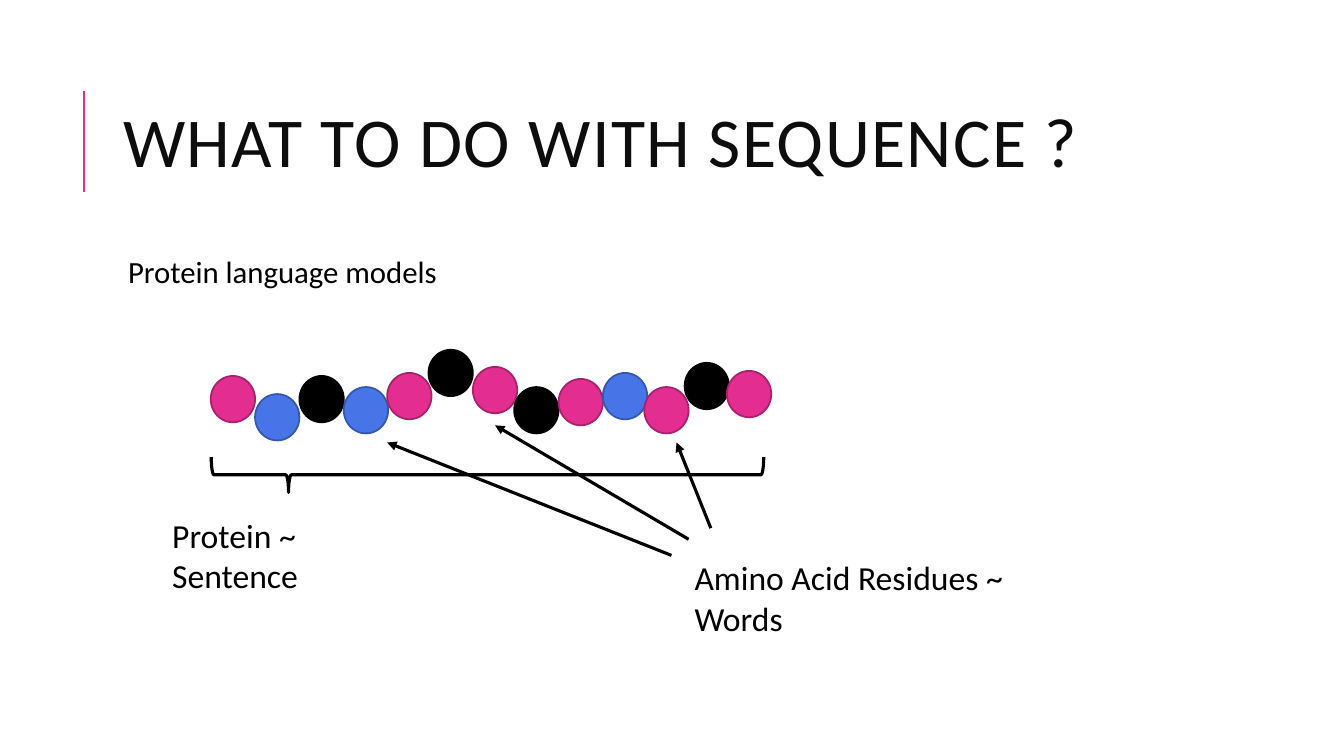
from typing import NamedTuple

from lxml import etree
from pptx import Presentation
from pptx.dml.color import RGBColor
from pptx.enum.shapes import MSO_CONNECTOR, MSO_SHAPE
from pptx.enum.text import MSO_ANCHOR, MSO_AUTO_SIZE, PP_ALIGN
from pptx.oxml.ns import qn
from pptx.util import Inches, Pt

LINE = MSO_CONNECTOR.STRAIGHT
OVAL, BRACE = MSO_SHAPE.OVAL, MSO_SHAPE.LEFT_BRACE
TOP, MIDDLE = MSO_ANCHOR.TOP, MSO_ANCHOR.MIDDLE
LEFT, FIXED = PP_ALIGN.LEFT, MSO_AUTO_SIZE.NONE

HUES = {
    "pink": "E32D91", "plum": "A8216B",
    "blue": "4775E7", "navy": "3557AB",
    "black": "000000", "ink": "0D0D0D",
}
EDGES = {"pink": "plum", "blue": "navy", "black": "black"}


class Bead(NamedTuple):
    x: float
    y: float
    hue: str


class Arrow(NamedTuple):
    x: float
    y: float
    to_x: float
    to_y: float


class Label(NamedTuple):
    text: str
    box: tuple
    size: int
    style: dict


BEADS = [
    Bead(2.09, 3.73, "pink"), Bead(2.53, 3.91, "blue"),
    Bead(2.97, 3.73, "black"), Bead(3.41, 3.84, "blue"),
    Bead(3.84, 3.7, "pink"), Bead(4.25, 3.47, "black"),
    Bead(4.69, 3.64, "pink"), Bead(5.1, 3.84, "black"),
    Bead(5.54, 3.76, "pink"), Bead(5.98, 3.7, "blue"),
    Bead(6.39, 3.84, "pink"), Bead(6.79, 3.6, "black"),
    Bead(7.21, 3.68, "pink"),
]
ARROWS = [
    Arrow(6.66, 5.51, 3.84, 4.39),
    Arrow(6.83, 5.35, 4.91, 4.22),
    Arrow(7.05, 5.24, 6.71, 4.39),
]
LABELS = [
    Label("Protein language models", (1.12, 2.5, 10.63, 4.4), 22,
          {"pads": (0.15, 0.05, 0.05, 0.05), "gap": 0.9}),
    Label("Protein ~ Sentence", (1.61, 5.06, 2.72, 0.5), 24,
          {"pads": (0.1, 0.05, 0.6, 0.05)}),
    Label("Amino Acid Residues ~ Words", (6.79, 5.48, 4.2, 0.5), 24,
          {"pads": (0.1, 0.05, 0.6, 0.05)}),
]


def tint(name: str) -> RGBColor:
    return RGBColor.from_string(HUES[name])


def place(shape, box: tuple) -> None:
    shape.left, shape.top, shape.width, shape.height = map(Inches, box)


def write(shape, text: str, size: int, hue: str = "black", gap: float = 1.0,
          pads: tuple = (0.1, 0.05, 0.1, 0.05), anchor=TOP, track: int = 0) -> None:
    frame = shape.text_frame
    frame.word_wrap, frame.auto_size = True, FIXED
    frame.vertical_anchor = anchor
    (frame.margin_left, frame.margin_top,
     frame.margin_right, frame.margin_bottom) = map(Inches, pads)
    para = frame.paragraphs[0]
    para.alignment, para.line_spacing = LEFT, gap
    run = para.add_run()
    run.text = text
    run.font.name, run.font.size = "Calibri", Pt(size)
    run.font.color.rgb = tint(hue)
    if track:
        run.font._element.set("spc", str(track * 100))


def draw_line(slide, path_ends: Arrow, hue: str, width: float, head: bool = False) -> None:
    line = slide.shapes.add_connector(LINE, *map(Inches, path_ends))
    line.line.color.rgb = tint(hue)
    line.line.width = Pt(width)
    if head:
        tip = etree.SubElement(line.line._get_or_add_ln(), qn("a:tailEnd"))
        tip.set("type", "triangle")
    etree.SubElement(line._element.spPr, qn("a:effectLst"))


def draw_bead(slide, bead: Bead) -> None:
    oval = slide.shapes.add_shape(
        OVAL, *map(Inches, (bead.x, bead.y, 0.44, 0.46)))
    oval.shadow.inherit = False
    oval.fill.solid()
    oval.fill.fore_color.rgb = tint(bead.hue)
    oval.line.color.rgb = tint(EDGES[bead.hue])
    oval.line.width = Pt(1.25)


def draw_brace(slide) -> None:
    brace = slide.shapes.add_shape(
        BRACE, *map(Inches, (4.66, 1.97, 0.35, 5.48)))
    brace.rotation = 270
    brace.adjustments[0], brace.adjustments[1] = 0.08, 0.14
    brace.shadow.inherit = False
    brace.fill.background()
    brace.line.color.rgb = tint("black")
    brace.line.width = Pt(2.25)


def main() -> None:
    deck = Presentation()
    deck.slide_width, deck.slide_height = Inches(13.33), Inches(7.5)
    slide = deck.slides.add_slide(deck.slide_layouts[5])

    # Title and its side rule
    draw_line(slide, Arrow(0.83, 1.9, 0.83, 0.9), "pink", 1.5)
    title = slide.shapes.title
    place(title, (1.12, 0.64, 10.63, 1.64))
    write(title, "WHAT TO DO WITH SEQUENCE ?", 50, hue="ink",
          gap=0.8, anchor=MIDDLE, track=1)

    # Protein chain
    for bead in BEADS:
        draw_bead(slide, bead)
    draw_brace(slide)

    # Labels
    for label in LABELS:
        box = slide.shapes.add_textbox(*map(Inches, label.box))
        write(box, label.text, label.size, **label.style)

    # Arrows to single residues
    for arrow in ARROWS:
        draw_line(slide, arrow, "black", 2.25, head=True)

    deck.save("out.pptx")


if __name__ == "__main__":
    main()
